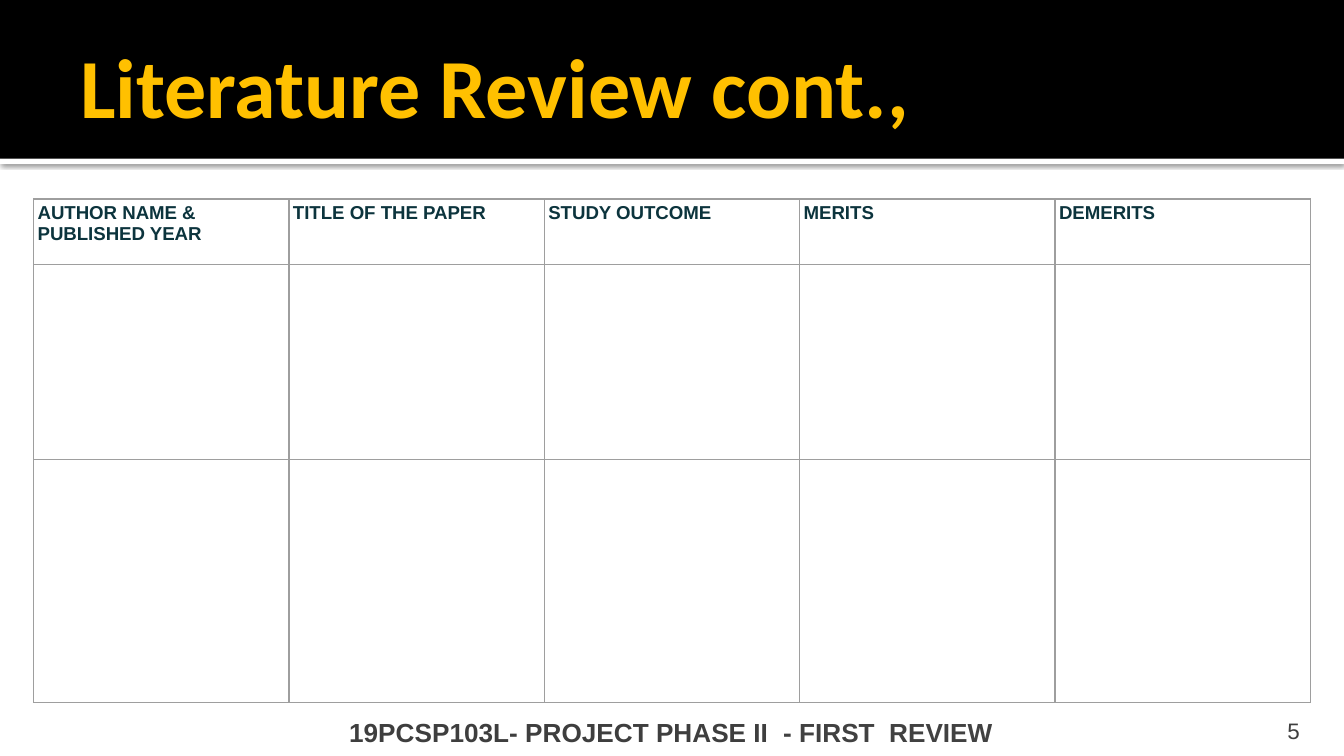
from dataclasses import dataclass

from lxml import etree
from pptx import Presentation
from pptx import util as u
from pptx.dml.color import RGBColor
from pptx.enum import shapes, text
from pptx.oxml.ns import qn


@dataclass(frozen=True)
class Theme:
    white: str = "FFFFFF"
    band: str = "000000"
    title: str = "FFC000"
    header: str = "0C343D"
    border: str = "9E9E9E"
    number: str = "3F3F3F"
    footer: str = "3E3E3E"
    footer_end: str = "414141"
    title_size: float = 45
    footer_size: float = 14
    number_size: float = 12
    header_size: float = 10
    border_width: float = 0.75


THEME = Theme()


@dataclass(frozen=True)
class Box:
    left: float
    top: float
    width: float
    height: float

    def lengths(self) -> list[int]:
        return [u.Inches(v) for v in (self.left, self.top, self.width, self.height)]


@dataclass(frozen=True)
class Run:
    words: str
    size: float
    color: str
    bold: bool = True
    font: str = "Arial"


@dataclass(frozen=True)
class Label:
    box: Box
    runs: tuple[Run, ...]
    insets: tuple[float, float, float, float] = (0.1, 0.05, 0.1, 0.05)
    anchor: text.MSO_ANCHOR = text.MSO_ANCHOR.TOP
    align: text.PP_ALIGN = text.PP_ALIGN.LEFT


LABELS = (
    Label(Box(0.5, 0.12, 9, 1.03),
          (Run("Literature Review cont.,", THEME.title_size, THEME.title, font="Calibri"),),
          insets=(0.1, 0.05, 0.05, 0.05), anchor=text.MSO_ANCHOR.MIDDLE),
    Label(Box(8.97, 5.31, 0.8, 0.23),
          (Run("5", THEME.number_size, THEME.number, bold=False),),
          insets=(0.1, 0.05, 0.1, 0), anchor=text.MSO_ANCHOR.BOTTOM,
          align=text.PP_ALIGN.RIGHT),
    Label(Box(2.5, 5.28, 5.74, 0.34),
          (Run("19PCSP103L- PROJECT PHASE II ", THEME.footer_size, THEME.footer),
           Run(" - FIRST  REVIEW", THEME.footer_size, THEME.footer_end))),
)

HEADERS = (("AUTHOR NAME &", "PUBLISHED YEAR"), ("TITLE OF THE PAPER",),
           ("STUDY OUTCOME",), ("MERITS",), ("DEMERITS",))
ROW_HEIGHTS = (0.49, 1.45, 1.81)
COLUMN_WIDTH = 1.9
CELL_INSET = 0.03


def add_run(paragraph, item: Run) -> None:
    run = paragraph.add_run()
    run.text = item.words
    formats = {"name": item.font, "size": u.Pt(item.size), "bold": item.bold}
    for name, value in formats.items():
        setattr(run.font, name, value)
    run.font.color.rgb = RGBColor.from_string(item.color)


def set_insets(target, insets: tuple[float, ...]) -> None:
    for side, inset in zip(("left", "top", "right", "bottom"), insets):
        setattr(target, f"margin_{side}", u.Inches(inset))


def add_label(slide, label: Label) -> None:
    frame = slide.shapes.add_textbox(*label.box.lengths()).text_frame
    frame.word_wrap = True
    frame.vertical_anchor = label.anchor
    set_insets(frame, label.insets)
    paragraph = frame.paragraphs[0]
    paragraph.alignment = label.align
    for item in label.runs:
        add_run(paragraph, item)


def add_band(slide, box: Box, color: str):
    shape = slide.shapes.add_shape(shapes.MSO_SHAPE.RECTANGLE, *box.lengths())
    shape.shadow.inherit = False
    shape.fill.solid()
    shape.fill.fore_color.rgb = RGBColor.from_string(color)
    shape.line.fill.background()
    return shape


def add_color(parent, color: str):
    return etree.SubElement(parent, qn("a:srgbClr"), val=color)


def add_shadow(shape, color: str) -> None:
    effects = shape._element.spPr.find(qn("a:effectLst"))
    shadow = etree.SubElement(effects, qn("a:outerShdw"), blurRad=str(u.Pt(2.5)),
                              dist=str(u.Pt(0.8)), dir="5400000",
                              algn="tl", rotWithShape="0")
    etree.SubElement(add_color(shadow, color), qn("a:alpha"), val="60000")


def style_cell(cell) -> None:
    set_insets(cell, (CELL_INSET,) * 4)
    properties = cell._tc.get_or_add_tcPr()
    for side in ("lnL", "lnR", "lnT", "lnB"):
        line = etree.SubElement(properties, qn(f"a:{side}"),
                                w=str(u.Pt(THEME.border_width)))
        add_color(etree.SubElement(line, qn("a:solidFill")), THEME.border)
    cell.fill.background()


def add_review_table(slide) -> None:
    box = Box(0.25, 1.48, COLUMN_WIDTH * len(HEADERS), sum(ROW_HEIGHTS))
    table = slide.shapes.add_table(len(ROW_HEIGHTS), len(HEADERS), *box.lengths()).table
    table.first_row = table.horz_banding = False
    for column in table.columns:
        column.width = u.Inches(COLUMN_WIDTH)
    for row, height in zip(table.rows, ROW_HEIGHTS):
        row.height = u.Inches(height)
    for cell in table.iter_cells():
        style_cell(cell)
    for cell, lines in zip(table.rows[0].cells, HEADERS):
        frame = cell.text_frame
        for index, words in enumerate(lines):
            paragraph = frame.add_paragraph() if index else frame.paragraphs[0]
            add_run(paragraph, Run(words, THEME.header_size, THEME.header))


def main() -> None:
    presentation = Presentation()
    # Widescreen page, 16 to 9
    presentation.slide_width = u.Inches(10)
    presentation.slide_height = u.Inches(10 * 9 / 16)
    slide = presentation.slides.add_slide(presentation.slide_layouts[6])

    # Title band with a shadowed white edge
    edge = add_band(slide, Box(0, 1.18, 10, 0.04), THEME.white)
    add_shadow(edge, THEME.band)
    add_band(slide, Box(0, 0, 10, 1.18), THEME.band)

    # Review table
    add_review_table(slide)

    # Title, slide number and footer
    for label in LABELS:
        add_label(slide, label)

    presentation.save("out.pptx")


if __name__ == "__main__":
    main()
